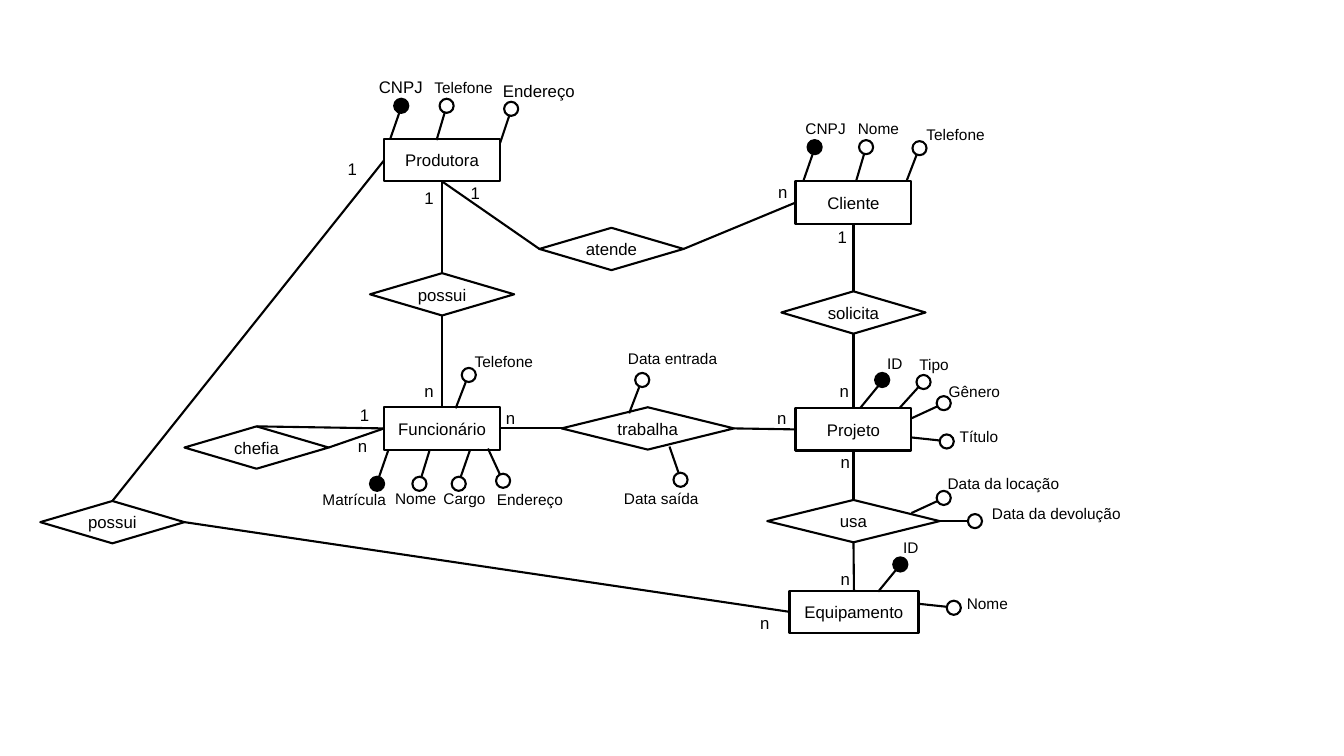
import math

import pptx
import pptx.dml.color
import pptx.enum.shapes
import pptx.enum.text
import pptx.oxml.xmlchemy
import pptx.util

PX = 9144
COLORS = {"ink": "000000", "paper": "FFFFFF"}
FONT = "Arial"
NODE_HEIGHT = 42
CIRCLE = 14
TOP, LEFT, BOTTOM, RIGHT = range(4)

ENTITIES = [
    ("Produtora", 381, 138, 115),
    ("Funcionário", 381, 404, 115),
    ("Projeto", 789, 405, 115),
    ("Equipamento", 783, 586, 128),
    ("Cliente", 789, 180, 115),
]

RELATIONSHIPS = [
    ("possui funcionário", "possui", 367, 271, 143),
    ("trabalha", "trabalha", 557, 404, 171),
    ("usa", "usa", 761, 496, 171),
    ("solicita", "solicita", 775, 289, 143),
    ("atende", "atende", 535, 226, 143),
    ("chefia", "chefia", 183, 423, 143),
    ("possui equipamento", "possui", 40, 497, 143),
]

LINKS = [
    ("Produtora", BOTTOM, "possui funcionário", TOP),
    ("possui funcionário", BOTTOM, "Funcionário", TOP),
    ("Funcionário", RIGHT, "trabalha", LEFT),
    ("trabalha", RIGHT, "Projeto", LEFT),
    ("Projeto", BOTTOM, "usa", TOP),
    ("usa", BOTTOM, "Equipamento", TOP),
    ("Cliente", BOTTOM, "solicita", TOP),
    ("solicita", BOTTOM, "Projeto", TOP),
    ("Cliente", LEFT, "atende", RIGHT),
    ("Produtora", BOTTOM, "atende", LEFT),
    ("Funcionário", LEFT, "chefia", TOP),
    ("Funcionário", LEFT, "chefia", RIGHT),
    ("Produtora", LEFT, "possui equipamento", TOP),
    ("possui equipamento", RIGHT, "Equipamento", LEFT),
]

ATTRIBUTES = [
    ("CNPJ", (366, 71, 64), 12, (391, 98), (387, 138), True),
    ("Telefone", (421, 73, 80), 11, (436, 98), (433, 139), False),
    ("Endereço", (489, 75, 92), 12, (500, 101), (496, 142), False),
    ("Matrícula", (310, 481, 83), 11, (367, 473), (385, 447), True),
    ("Nome", (382, 480, 61), 11, (409, 473), (426, 447), False),
    ("Cargo", (430, 480, 62), 11, (448, 473), (466, 447), False),
    ("Endereço", (483, 481, 86), 11, (492, 470), (484, 445), False),
    ("Telefone", (461, 344, 80), 11, (458, 365), (452, 405), False),
    ("ID", (870, 346, 36), 11, (868, 370), (853, 405), True),
    ("Tipo", (902, 347, 50), 11, (909, 372), (892, 405), False),
    ("Gênero", (931, 374, 72), 11, (929, 393), (904, 415), False),
    ("Título", (942, 419, 59), 11, (932, 431), (904, 434), False),
    ("ID", (886, 529, 36), 11, (886, 553), (871, 587), True),
    ("Nome", (949, 584, 61), 11, (939, 596), (911, 599), False),
    ("CNPJ", (789, 113, 61), 11, (801, 139), (797, 179), True),
    ("Nome", (841, 113, 61), 11, (852, 139), (849, 180), False),
    ("Telefone", (909, 119, 80), 11, (905, 140), (899, 180), False),
    ("Data entrada", (613, 341, 109), 11, (630, 370), (624, 410), False),
    ("Data saída", (609, 480, 95), 11, (668, 469), (664, 443), False),
    ("Data da locação", (930, 465, 132), 11, (929, 487), (904, 509), False),
    ("Data da devolução", (974, 495, 149), 11, (960, 510), (932, 517), False),
]

CARDINALITIES = [
    ("1", 457, 176), ("n", 762, 175), ("1", 411, 181), ("n", 411, 373),
    ("n", 492, 400), ("n", 761, 400), ("1", 821, 220), ("n", 823, 373),
    ("n", 824, 559), ("n", 824, 443), ("1", 347, 397), ("n", 345, 427),
    ("1", 335, 153), ("n", 744, 603),
]


def px(*lengths):
    return [round(length) * PX for length in lengths]


def color(name):
    return pptx.dml.color.RGBColor.from_string(COLORS[name])


def outline(shape):
    shape.line.color.rgb = color("ink")
    shape.line.width = pptx.util.Pt(1.5)


def write(shape, text, size):
    shape.text_frame.text = text
    font = shape.text_frame.paragraphs[0].runs[0].font
    font.name = FONT
    font.size = pptx.util.Pt(size)
    font.color.rgb = color("ink")


def add_figure(shapes, kind, box, fill):
    shape = shapes.add_shape(kind, *px(*box))
    shape.shadow.inherit = False
    shape.fill.solid()
    shape.fill.fore_color.rgb = color(fill)
    outline(shape)
    return shape


def add_node(slide, kind, text, left, top, width):
    shape = add_figure(slide.shapes, kind, (left, top, width, NODE_HEIGHT), "paper")
    write(shape, text, 12)
    shape.text_frame.vertical_anchor = pptx.enum.text.MSO_ANCHOR.MIDDLE
    shape.text_frame.paragraphs[0].alignment = pptx.enum.text.PP_ALIGN.CENTER
    return shape


def add_line(shapes, start=(0, 0), end=(0, 0)):
    straight = pptx.enum.shapes.MSO_CONNECTOR.STRAIGHT
    connector = shapes.add_connector(straight, *px(*start, *end))
    outline(connector)
    effects = pptx.oxml.xmlchemy.OxmlElement("a:effectLst")
    connector._element.spPr.append(effects)
    return connector


def add_label(slide, text, left, top, width, size):
    height = 30 if size == 12 else 29
    label = slide.shapes.add_textbox(*px(left, top, width, height))
    label.text_frame.word_wrap = False
    label.text_frame.auto_size = pptx.enum.text.MSO_AUTO_SIZE.SHAPE_TO_FIT_TEXT
    write(label, text, size)


def add_attribute(slide, text, box, size, corner, end, is_key):
    radius = CIRCLE / 2
    center = [position + radius for position in corner]
    distance = math.dist(center, end)
    start = [c + (e - c) * radius / distance for c, e in zip(center, end)]
    group = slide.shapes.add_group_shape()
    add_line(group.shapes, start, end)
    oval = pptx.enum.shapes.MSO_SHAPE.OVAL
    add_figure(group.shapes, oval, (*corner, CIRCLE, CIRCLE), "ink" if is_key else "paper")
    add_label(slide, text, *box, size)


def main():
    presentation = pptx.Presentation()
    presentation.slide_width, presentation.slide_height = px(1333, 750)
    slide = presentation.slides.add_slide(presentation.slide_layouts[6])
    preset = pptx.enum.shapes.MSO_SHAPE
    nodes = {}
    for name, *box in ENTITIES:
        nodes[name] = add_node(slide, preset.RECTANGLE, name, *box)
    for name, text, *box in RELATIONSHIPS:
        nodes[name] = add_node(slide, preset.FLOWCHART_DECISION, text, *box)
    for source, source_side, target, target_side in LINKS:
        connector = add_line(slide.shapes)
        connector.begin_connect(nodes[source], source_side)
        connector.end_connect(nodes[target], target_side)
    for attribute in ATTRIBUTES:
        add_attribute(slide, *attribute)
    for text, left, top in CARDINALITIES:
        add_label(slide, text, left, top, 29, 12)
    presentation.save("out.pptx")


if __name__ == "__main__":
    main()
